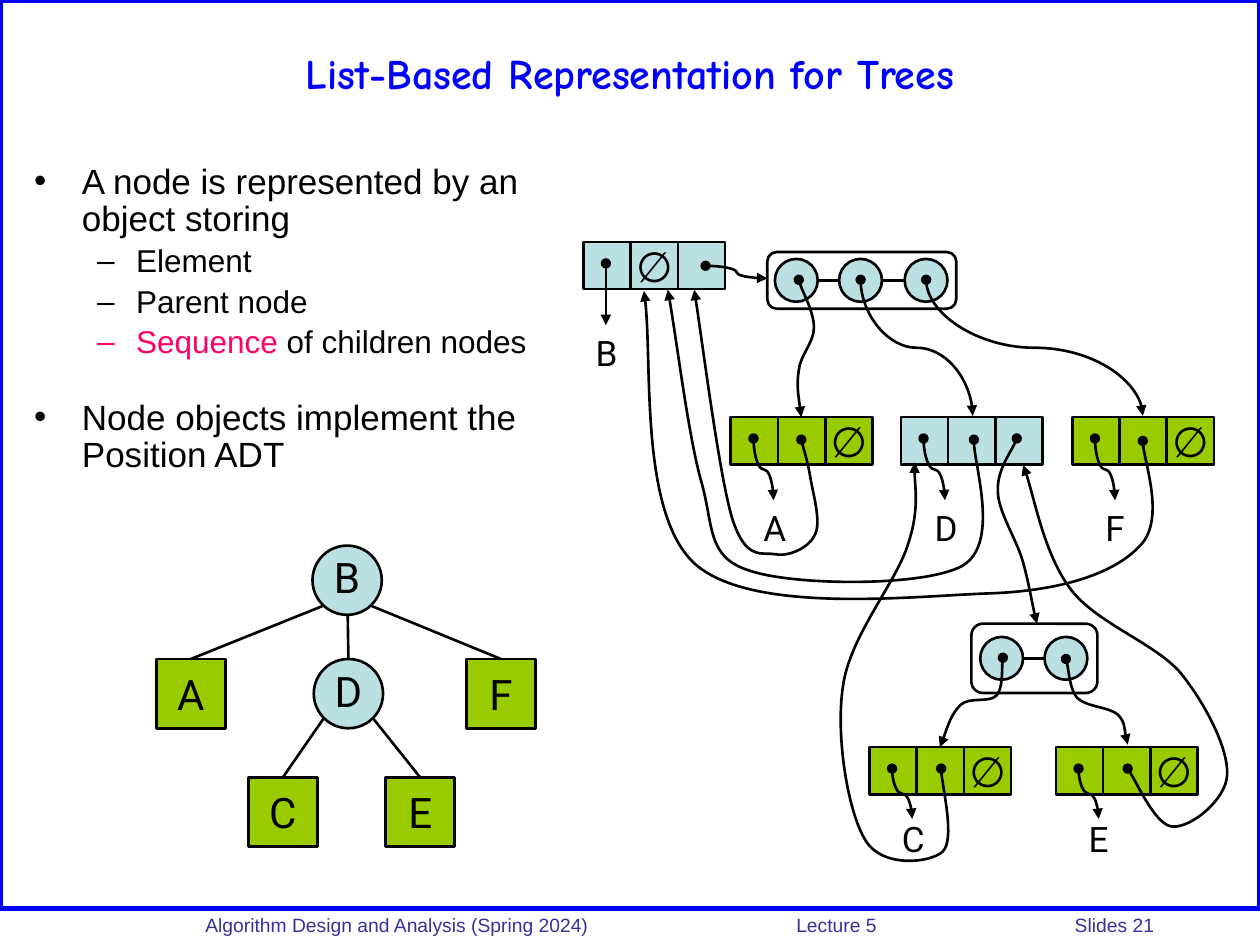
from dataclasses import dataclass
from itertools import pairwise

from lxml import etree
from pptx import Presentation, util as u
from pptx.dml.color import RGBColor
from pptx.enum import shapes as kinds, text as t
from pptx.oxml.ns import qn

HUES = {"blue": "0000FF", "navy": "333399", "pale": "BBE0E3",
        "green": "99CC00", "pink": "FF0066", "black": "000000"}
KIND = kinds.MSO_SHAPE
LINK = kinds.MSO_CONNECTOR
CELL = 0.375
NODE = 0.55
DISC = 0.34


@dataclass
class Record:
    name: str
    x: float
    y: float
    hue: str
    void: int | None
    tip: tuple[float, float]
    top: float


@dataclass
class Chain:
    x: float
    y: float
    wide: float
    high: float
    discs: list[float]


@dataclass
class Node:
    name: str
    kind: int
    x: float
    y: float
    hue: str


@dataclass
class Edge:
    child: str
    start: tuple[float, float]
    end: tuple[float, float]


RECORDS = [
    Record("B", 4.63, 1.92, "pale", 1, (0.18, 0.66), 0.66),
    Record("A", 5.80, 3.31, "green", 2, (0.34, 0.66), 0.66),
    Record("D", 7.15, 3.31, "pale", None, (0.35, 0.66), 0.66),
    Record("F", 8.51, 3.31, "green", 2, (0.34, 0.66), 0.66),
    Record("C", 6.90, 5.93, "green", 2, (0.34, 0.57), 0.51),
    Record("E", 8.38, 5.93, "green", 2, (0.34, 0.57), 0.51),
]
CHAINS = [Chain(6.09, 2.0, 1.5, 0.45, [6.15, 6.66, 7.18]),
          Chain(7.71, 4.95, 1.0, 0.55, [7.78, 8.29])]
NODES = [
    Node("B", KIND.OVAL, 2.48, 4.33, "pale"),
    Node("D", KIND.OVAL, 2.49, 5.23, "pale"),
    Node("A", KIND.RECTANGLE, 1.24, 5.23, "green"),
    Node("F", KIND.RECTANGLE, 3.70, 5.23, "green"),
    Node("C", KIND.RECTANGLE, 1.97, 6.17, "green"),
    Node("E", KIND.RECTANGLE, 3.06, 6.17, "green"),
]
EDGES = [
    Edge("A", (1.51, 5.22), (2.56, 4.81)),
    Edge("D", (2.77, 5.22), (2.76, 4.89)),
    Edge("F", (3.98, 5.22), (2.95, 4.81)),
    Edge("C", (2.24, 6.16), (2.57, 5.70)),
    Edge("E", (3.34, 6.16), (2.96, 5.70)),
]
DROPS = [((6.83, 2.22), (7.72, 3.3)), ((7.35, 2.22), (9.07, 3.3))]
CURVES = [
    [(6.36, 3.49), (6.37, 3.54), (6.41, 3.66), (6.43, 3.78), (6.45, 3.91), (6.52, 4.14), (6.47, 4.24),
     (6.43, 4.34), (6.27, 4.42), (6.16, 4.4), (6.05, 4.38), (5.92, 4.46), (5.81, 4.11),
     (5.71, 3.77), (5.57, 2.68), (5.51, 2.3)],
    [(7.73, 3.49), (7.72, 3.65), (7.93, 4.32), (7.64, 4.49), (7.34, 4.66), (6.3, 4.65), (5.95, 4.53),
     (5.6, 4.42), (5.67, 4.17), (5.56, 3.8), (5.46, 3.43), (5.36, 2.61), (5.3, 2.3)],
    [(9.07, 3.5), (9.07, 3.64), (9.25, 4.14), (9.04, 4.34), (8.84, 4.55), (8.43, 4.69), (7.85, 4.71),
     (7.26, 4.73), (5.98, 4.88), (5.52, 4.48), (5.07, 4.08), (5.19, 2.76), (5.11, 2.31)],
    [(8.07, 3.48), (8.05, 3.55), (7.91, 3.74), (7.92, 3.9), (7.92, 4.05), (8.05, 4.25), (8.11, 4.43),
     (8.16, 4.6), (8.2, 4.84), (8.23, 4.95)],
    [(8.46, 5.23), (8.48, 5.28), (8.49, 5.47), (8.55, 5.54), (8.62, 5.61), (8.8, 5.61), (8.87, 5.67),
     (8.93, 5.73), (8.93, 5.86), (8.95, 5.91)],
    [(7.96, 5.22), (7.95, 5.27), (7.96, 5.46), (7.91, 5.52), (7.85, 5.58), (7.7, 5.53), (7.63, 5.59),
     (7.55, 5.66), (7.49, 5.86), (7.46, 5.93)],
    [(6.34, 2.22), (6.35, 2.28), (6.46, 2.48), (6.46, 2.6), (6.46, 2.72), (6.35, 2.82), (6.34, 2.94),
     (6.32, 3.06), (6.35, 3.23), (6.36, 3.31)],
    [(7.47, 6.1), (7.47, 6.21), (7.58, 6.67), (7.48, 6.76), (7.38, 6.85), (7, 6.89), (6.87, 6.67),
     (6.73, 6.45), (6.63, 5.84), (6.69, 5.45), (6.74, 5.06), (7.1, 4.64), (7.2, 4.34),
     (7.3, 4.05), (7.25, 3.81), (7.26, 3.67)],
    [(8.95, 6.1), (9.01, 6.18), (9.18, 6.56), (9.31, 6.56), (9.45, 6.57), (9.73, 6.35), (9.74, 6.15),
     (9.75, 5.94), (9.57, 5.59), (9.37, 5.34), (9.16, 5.1), (8.71, 4.95), (8.5, 4.68),
     (8.29, 4.4), (8.2, 3.89), (8.12, 3.69)],
]
POINTS = [(0, "A node is represented by an object storing"), (1, "Element"), (1, "Parent node"),
          (1, "Sequence| of children nodes"), (0, "Node objects implement the Position ADT")]


def dims(*sizes: float) -> list[u.Length]:
    return [u.Cm(2.54 * size) for size in sizes]


def tint(hue: str) -> RGBColor:
    return RGBColor.from_string(HUES[hue])


def style(run, face: str, size: float, hue: str) -> None:
    run.font.name, run.font.size = face, u.Pt(size)
    run.font.color.rgb = tint(hue)


def stroke(item, tips: bool = False, hue: str = "black", width: float = 1.5) -> None:
    item.line.color.rgb = tint(hue)
    item.line.width = u.Pt(width)
    if tips:
        ln = item.element.spPr.find(qn("a:ln"))
        for tag, kind in (("a:headEnd", "oval"), ("a:tailEnd", "triangle")):
            etree.SubElement(ln, qn(tag)).set("type", kind)


def write(shape, words: str, size: float) -> None:
    frame = shape.text_frame
    frame.text, frame.word_wrap = words, False
    frame.vertical_anchor = t.MSO_ANCHOR.MIDDLE
    para = frame.paragraphs[0]
    para.alignment = t.PP_ALIGN.CENTER
    style(para.runs[0], "Roboto", size, "black")


def block(slide, kind: int, box: tuple, hue: str | None = None, words: str = ""):
    shape = slide.shapes.add_shape(kind, *dims(*box))
    shape.shadow.inherit = False
    if hue:
        shape.fill.solid()
        shape.fill.fore_color.rgb = tint(hue)
    else:
        shape.fill.background()
    stroke(shape)
    if words:
        write(shape, words, 24)
    return shape


def join(slide, start: tuple, end: tuple, kind: int = LINK.STRAIGHT):
    line = slide.shapes.add_connector(kind, *dims(*start, *end))
    stroke(line, kind == LINK.CURVE)
    etree.SubElement(line.element.spPr, qn("a:effectLst"))
    return line


def drop(slide, start: tuple, end: tuple) -> None:
    mid = [(a + b) / 2 for a, b in zip(start, end)]
    half = (end[1] - start[1]) / 2, (end[0] - start[0]) / 2
    line = join(slide, tuple(m - h for m, h in zip(mid, half)),
                tuple(m + h for m, h in zip(mid, half)), LINK.CURVE)
    frame = line.element.spPr.find(qn("a:xfrm"))
    frame.set("rot", "16200000")
    frame.set("flipH", "1")


def sweep(slide, spots: list[tuple]) -> None:
    first, *rest = [tuple(dims(*spot)) for spot in spots]
    pen = slide.shapes.build_freeform(*first)
    pen.add_line_segments(rest, close=False)
    shape = pen.convert_to_shape()
    shape.shadow.inherit = False
    shape.fill.background()
    stroke(shape, True)
    track = next(shape.element.iter(qn("a:path")))
    steps = track.findall(qn("a:lnTo"))
    for i in range(0, len(steps), 3):
        bend = etree.SubElement(track, qn("a:cubicBezTo"))
        for step in steps[i:i + 3]:
            bend.append(step[0])
            track.remove(step)


def record(slide, rec: Record) -> None:
    for i in range(3):
        block(slide, KIND.RECTANGLE, (rec.x + i * CELL, rec.y, CELL, CELL), rec.hue,
              "∅" if i == rec.void else "")
    end = rec.x + rec.tip[0], rec.y + rec.tip[1]
    drop(slide, (rec.x + 0.18, rec.y + 0.17), end)
    label = slide.shapes.add_textbox(*dims(end[0] - 0.18, rec.y + rec.top, 0.36, 0.43))
    write(label, rec.name, 20)
    label.text_frame.auto_size = t.MSO_AUTO_SIZE.SHAPE_TO_FIT_TEXT


def chain(slide, row: Chain) -> None:
    block(slide, KIND.ROUNDED_RECTANGLE, (row.x, row.y, row.wide, row.high))
    mid = row.y + row.high / 2
    for left, right in pairwise(row.discs):
        join(slide, (left + DISC, mid), (right, mid))
    for x in row.discs:
        block(slide, KIND.OVAL, (x, mid - DISC / 2, DISC, DISC), "pale")


def tree(slide) -> None:
    made = {}
    for node in NODES:
        shape = block(slide, node.kind, (node.x, node.y, NODE, NODE), node.hue, node.name)
        if node.kind == KIND.OVAL:
            frame = shape.text_frame
            frame.margin_left = frame.margin_right = frame.margin_top = 0
        made[node.name] = shape
    for edge in EDGES:
        join(slide, edge.start, edge.end).begin_connect(made[edge.child], 0)


def place(shape, *box: float) -> None:
    shape.left, shape.top, shape.width, shape.height = dims(*box)


def prose(slide) -> None:
    title, body = slide.placeholders
    place(title, 0.5, 0.08, 9, 1)
    title.text_frame.text = "List-Based Representation for Trees"
    title.text_frame.vertical_anchor = t.MSO_ANCHOR.MIDDLE
    run = title.text_frame.paragraphs[0].runs[0]
    style(run, "Comic Neue", 24, "blue")
    run.font.bold = True
    place(body, 0.17, 1.25, 4.33, 2.83)
    frame = body.text_frame
    frame.auto_size = t.MSO_AUTO_SIZE.NONE
    for i, (level, words) in enumerate(POINTS):
        para = frame.add_paragraph() if i else frame.paragraphs[0]
        para.level, para.line_spacing = level, 0.9
        left, hang = dims(*((0.81, -0.31) if level else (0.38, -0.38)))
        props = para._p.get_or_add_pPr()
        props.set("marL", str(left))
        props.set("indent", str(hang))
        parts = words.split("|")
        for part in parts:
            run = para.add_run()
            run.text = part
            style(run, "Arial", 18 if level else 20, "pink" if part != parts[-1] else "black")
    frame.paragraphs[0].space_before = u.Pt(0)
    frame.paragraphs[-1].space_before = u.Pt(22.5)


def footer(slide) -> None:
    box = slide.shapes.add_textbox(*dims(1.33, 7.2, 8.67, 0.26))
    frame = box.text_frame
    frame.word_wrap, frame.margin_left = True, dims(0.3)[0]
    para = frame.paragraphs[0]
    stops = etree.SubElement(para._p.get_or_add_pPr(), qn("a:tabLst"))
    for stop in dims(4.69, 6.9):
        etree.SubElement(stops, qn("a:tab"), pos=str(stop), algn="l")
    para.text = "Algorithm Design and Analysis (Spring 2024)\tLecture 5\tSlides 21"
    for run in para.runs:
        style(run, "Arial", 11, "navy")


def main() -> None:
    deck = Presentation()
    deck.slide_width, deck.slide_height = dims(10, 7.5)
    slide = deck.slides.add_slide(deck.slide_layouts[1])
    stroke(block(slide, KIND.RECTANGLE, (0, 0, 10, 7.21)), hue="blue", width=3)
    footer(slide)
    prose(slide)
    tree(slide)
    for row in CHAINS:
        chain(slide, row)
    for rec in RECORDS:
        record(slide, rec)
    join(slide, (5.6, 2.11), (6.09, 2.21), LINK.CURVE)
    for start, end in DROPS:
        drop(slide, start, end)
    for spots in CURVES:
        sweep(slide, spots)
    deck.save("out.pptx")


if __name__ == "__main__":
    main()
